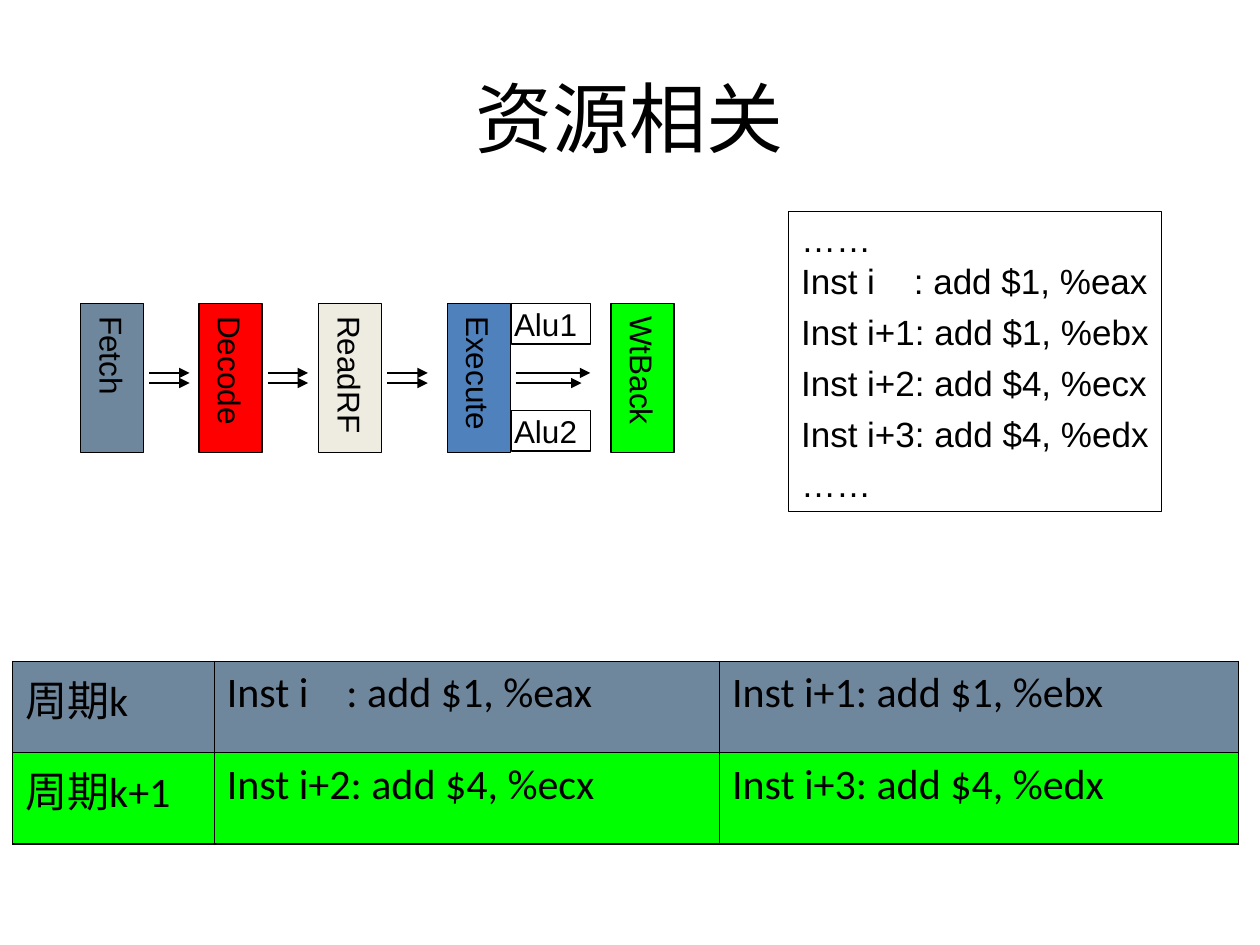
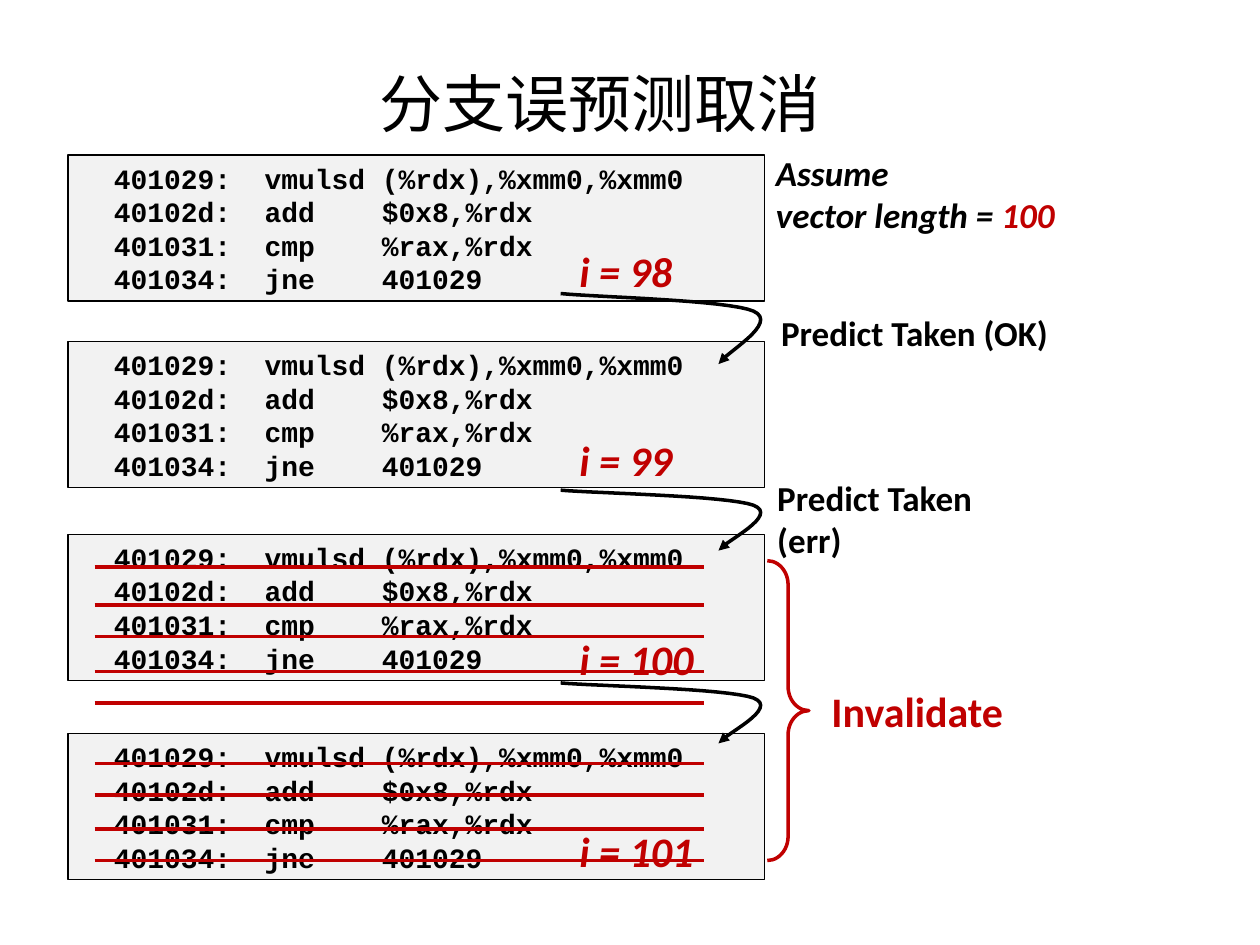
from collections import namedtuple

from lxml import etree
from pptx import Presentation
from pptx.dml.color import RGBColor
from pptx.enum.shapes import MSO_CONNECTOR, MSO_SHAPE
from pptx.enum.text import MSO_ANCHOR, MSO_AUTO_SIZE, PP_ALIGN
from pptx.oxml.ns import qn
from pptx.util import Inches, Pt

RECT, BRACE = MSO_SHAPE.RECTANGLE, MSO_SHAPE.RIGHT_BRACE
STRAIGHT = MSO_CONNECTOR.STRAIGHT
TOP, MIDDLE = MSO_ANCHOR.TOP, MSO_ANCHOR.MIDDLE
LEFT, CENTER = PP_ALIGN.LEFT, PP_ALIGN.CENTER
GROW = MSO_AUTO_SIZE.SHAPE_TO_FIT_TEXT

# The slide is a grid of 100 columns by 75 rows, each cell 0.1 inch.
COLS, ROWS, CELL = 100, 75, 0.1
BLACK, CRIMSON, PALE = "000000", "C00000", "F2F2F2"
SLATE, RED, CREAM, BLUE, GREEN = "6F879D", "FF0000", "EEECE1", "4F81BD", "00FF00"
SANS, BODY, MONO = "Arial", "Calibri", "Courier New"

INSTS = ["Inst i    : add $1, %eax", "Inst i+1: add $1, %ebx",
         "Inst i+2: add $4, %ecx", "Inst i+3: add $4, %edx"]
CODE = ["  401029:  vmulsd (%rdx),%xmm0,%xmm0",
        "  40102d:  add    $0x8,%rdx",
        "  401031:  cmp    %rax,%rdx",
        "  401034:  jne    401029"]

Box = namedtuple("Box", "x y w h")


def grid(*cells):
    return [Inches(n * CELL) for n in cells]


def inside(box, x, y, w, h):
    """A box whose corner is offset from the corner of another one."""
    return Box(box.x + x, box.y + y, w, h)


def rgb(code):
    return RGBColor.from_string(code)


def write(frame, lines, size=20, font=BODY, color=BLACK, bold=False, italic=False,
          align=LEFT, anchor=TOP, wrap=True, pad=(1, 0.5, 1, 0.5), gaps=()):
    """Fill a frame; a line is a string or a list of (text, colour) runs."""
    frame.word_wrap = wrap
    frame.vertical_anchor = anchor
    (frame.margin_left, frame.margin_top,
     frame.margin_right, frame.margin_bottom) = grid(*pad)
    for i, line in enumerate(lines):
        para = frame.paragraphs[0] if i == 0 else frame.add_paragraph()
        para.alignment = align
        if i < len(gaps) and gaps[i]:
            para.space_before = Pt(gaps[i])
        for text, tint in [(line, color)] if isinstance(line, str) else line:
            run = para.add_run()
            run.text = text
            run.font.size, run.font.name = Pt(size), font
            run.font.bold, run.font.italic = bold, italic
            run.font.color.rgb = rgb(tint)


def label(slide, box, lines, **style):
    write(slide.shapes.add_textbox(*grid(*box)).text_frame, lines, **style)


def stroke(shape, color, width, arrow=False):
    shape.line.color.rgb = rgb(color)
    shape.line.width = Pt(width)
    if arrow:
        line = shape.element.spPr.find(qn("a:ln"))
        etree.SubElement(line, qn("a:tailEnd"), type="triangle")


def panel(slide, box, fill=None, kind=RECT, color=BLACK, width=0.75):
    shape = slide.shapes.add_shape(kind, *grid(*box))
    shape.shadow.inherit = False
    if fill:
        shape.fill.solid()
        shape.fill.fore_color.rgb = rgb(fill)
    else:
        shape.fill.background()
    stroke(shape, color, width)
    return shape


def rule(slide, x1, x2, y, color=BLACK, width=0.75, arrow=False):
    line = slide.shapes.add_connector(STRAIGHT, *grid(x1, y, x2, y))
    stroke(line, color, width, arrow)
    etree.SubElement(line.element.spPr, qn("a:effectLst"))


def title(slide, box, text, size):
    label(slide, box, [text], size=size, align=CENTER, anchor=MIDDLE)


def pipeline(slide, box):
    stages = [("Fetch", SLATE, 0), ("Decode", RED, 9.4), ("ReadRF", CREAM, 18.9),
              ("Execute", BLUE, 29.1), ("WtBack", GREEN, 42.1)]
    wide = 5
    for name, fill, x in stages:
        shape = panel(slide, inside(box, x, 0, wide, box.h), fill)
        write(shape.text_frame, [name], size=18, font=SANS, align=CENTER,
              anchor=MIDDLE, pad=(0.5, 1, 0.5, 1))
        shape.text_frame.auto_size = GROW
        shape.element.txBody.bodyPr.set("vert", "eaVert")
    ends = [(3.2, 3.2)] * 3 + [(5.9, 5.2)]
    for (_, _, x), pair in zip(stages, ends):
        start = box.x + x + wide + 0.45
        for y, length in zip((5.5, 6.3), pair):
            rule(slide, start, start + length, box.y + y, arrow=True)
    for name, y in (("Alu1", 0), ("Alu2", 8.5)):
        shape = panel(slide, inside(box, 34.2, y, 6.3, 3.2))
        write(shape.text_frame, [name], size=18, font=SANS, pad=(0.2, 0.1, 0.2, 0.1))


def listing(slide, box):
    write(panel(slide, box).text_frame, ["……", *INSTS, "……"], font=SANS,
          wrap=False, gaps=(0, 0, 5, 5, 5, 5))


def edge(cell, side, width):
    line = etree.SubElement(cell._tc.get_or_add_tcPr(), qn("a:ln" + side),
                            w=str(Pt(width)))
    fill = etree.SubElement(line, qn("a:solidFill"))
    etree.SubElement(fill, qn("a:srgbClr"), val=BLACK)


def cycles(slide, box):
    rows = [("周期k", *INSTS[:2]), ("周期k+1", *INSTS[2:])]
    widths, thick, thin = (16, 40.1, 41.2), 1.08, 0.45
    table = slide.shapes.add_table(len(rows), len(widths), *grid(*box)).table
    table.first_row = table.horz_banding = False
    for column, width in zip(table.columns, grid(*widths)):
        column.width = width
    for r, (row, fill) in enumerate(zip(rows, (SLATE, GREEN))):
        for c, text in enumerate(row):
            cell = table.cell(r, c)
            outer = {"L": c == 0, "R": c == len(row) - 1,
                     "T": r == 0, "B": r == len(rows) - 1}
            for side, out in outer.items():
                edge(cell, side, thick if out else thin)
            cell.fill.solid()
            cell.fill.fore_color.rgb = rgb(fill)
            write(cell.text_frame, [text], size=24)
            cell.margin_left, cell.margin_right = grid(1, 1)
            cell.margin_top, cell.margin_bottom = grid(0.5, 0.5)


def bezier(a, b, c, d, steps=16):
    for i in range(1, steps + 1):
        t = i / steps
        u = 1 - t
        yield tuple(u**3 * p + 3 * u * u * t * q + 3 * u * t * t * r + t**3 * s
                    for p, q, r, s in zip(a, b, c, d))


def swoop(slide, box):
    """Curved arrow leaving to the right and hooking back down."""
    knots = [(0, 0), (0.15, 0.05), (0.76, 0.09), (0.88, 0.25),
             (1, 0.42), (0.75, 0.84), (0.72, 1)]
    spots = [grid(box.x + x * box.w, box.y + y * box.h) for x, y in knots]
    points = [*bezier(*spots[:4]), *bezier(*spots[3:])]
    builder = slide.shapes.build_freeform(*spots[0])
    builder.add_line_segments([(round(x), round(y)) for x, y in points], close=False)
    curve = builder.convert_to_shape()
    curve.shadow.inherit = False
    curve.fill.background()
    stroke(curve, BLACK, 2, arrow=True)


def block(slide, box, count, drop):
    write(panel(slide, box, PALE).text_frame, CODE, size=16, font=MONO, bold=True)
    label(slide, inside(box, 39.6, drop, 14, 5), [f"i = {count}"], size=24,
          color=CRIMSON, bold=True, italic=True)


def loop(slide, box):
    """Four passes of the code, linked by curved arrows."""
    tops, drops = (0, 14.8, 30.1, 45.9), (6.7, 6.9, 7.4, 6.8)
    for i, (top, drop) in enumerate(zip(tops, drops)):
        block(slide, inside(box, 0, top, box.w, 11.6), 98 + i, drop)
    for y, high in ((11, 5.6), (26.6, 4.8), (41.9, 4.8)):
        swoop(slide, inside(box, 39.1, y, 17.4, high))
    for y in (32.7, 35.7, 38.2, 41, 43.5, 48.3, 50.8, 53.5, 56):
        rule(slide, box.x + 2.1, box.x + 50.5, box.y + y, CRIMSON, 2)


def remarks(slide, box):
    bold = {"bold": True, "wrap": False}
    label(slide, inside(box, 0, 0, 24.1, 7.7),
          ["Assume", [("vector length = ", BLACK), ("100", CRIMSON)]],
          italic=True, **bold)
    label(slide, inside(box, 0.4, 12.7, 23.5, 4.4), ["Predict Taken (OK)"], **bold)
    label(slide, inside(box, 0.1, 25.8, 17.8, 7.7), ["Predict Taken", "(err)"], **bold)
    brace = panel(slide, inside(box, 0.3, 33, 3.3, 23.8), kind=BRACE,
                  color=CRIMSON, width=2)
    brace.adjustments[0] = 0.58
    label(slide, inside(box, 4.4, 42.4, 15.8, 5), ["Invalidate"], size=24,
          color=CRIMSON, **bold)


def hazard(slide):
    title(slide, Box(5, 3, 90, 12.5), "资源相关", 44)
    cycles(slide, Box(1, 52.5, 97.3, 14.5))
    listing(slide, Box(62.6, 16.8, 29.6, 23.8))
    pipeline(slide, Box(6.4, 24.1, 47.1, 11.8))


def branch(slide):
    title(slide, Box(4.2, 5, 86.9, 6.3), "分支误预测取消", 36)
    loop(slide, Box(5.4, 12.3, 55.3, 57.5))
    remarks(slide, Box(60.6, 11.5, 24.1, 56.8))


def main():
    deck = Presentation()
    deck.slide_width, deck.slide_height = grid(COLS, ROWS)
    for fill in (hazard, branch):
        fill(deck.slides.add_slide(deck.slide_layouts[6]))
    deck.save("out.pptx")


if __name__ == "__main__":
    main()
